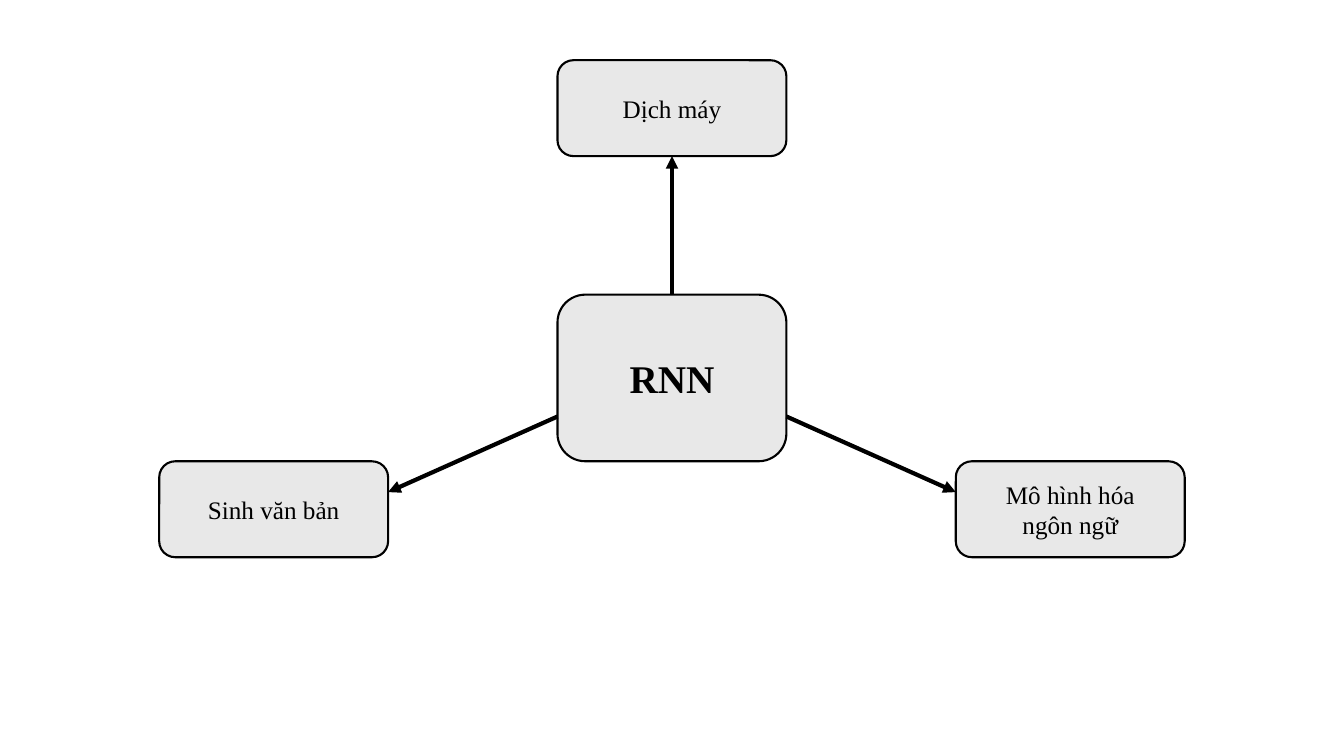
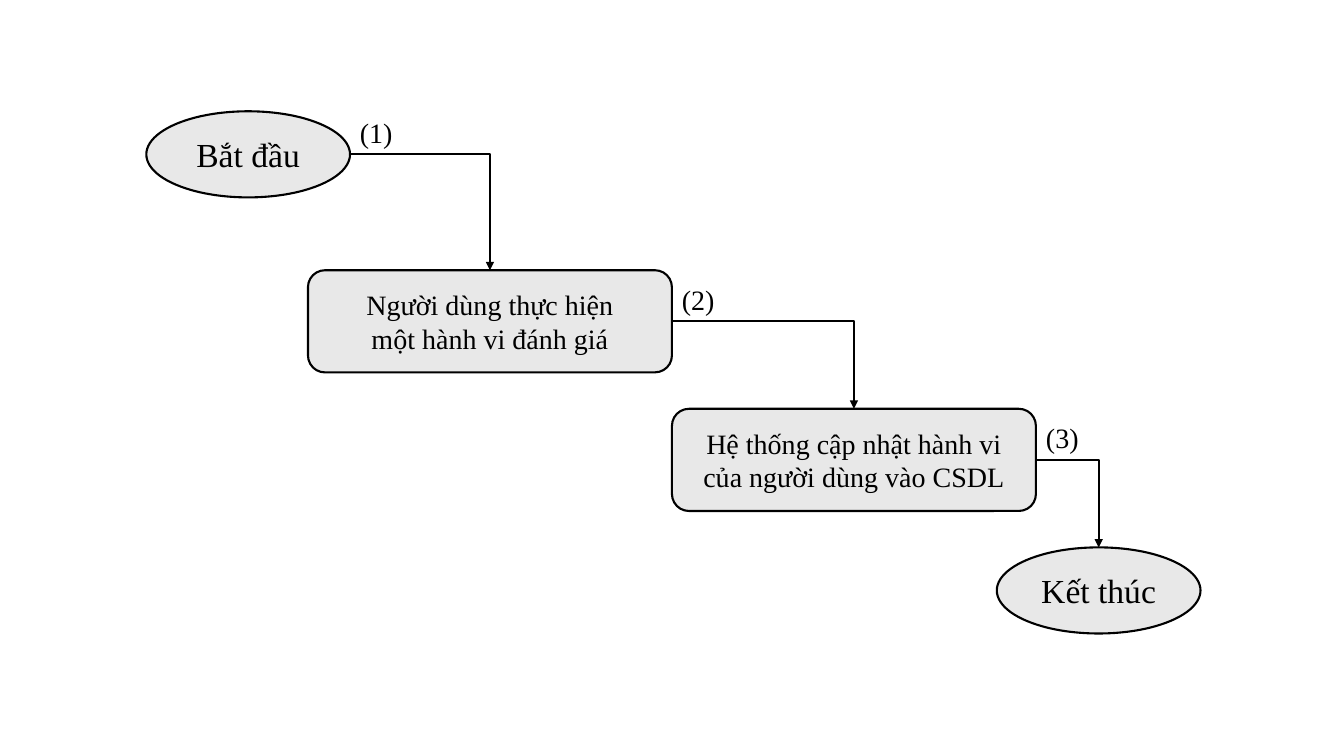
from dataclasses import dataclass

from lxml import etree
from pptx import Presentation
from pptx.dml.color import RGBColor
from pptx.enum.shapes import MSO_CONNECTOR, MSO_SHAPE
from pptx.enum.text import MSO_ANCHOR, MSO_AUTO_SIZE, PP_ALIGN
from pptx.oxml.ns import qn
from pptx.util import Pt

ROUNDED = MSO_SHAPE.ROUNDED_RECTANGLE
OVAL = MSO_SHAPE.OVAL
STRAIGHT = MSO_CONNECTOR.STRAIGHT
ELBOW = MSO_CONNECTOR.ELBOW
MIDDLE = MSO_ANCHOR.MIDDLE
CENTER = PP_ALIGN.CENTER
LEFT = PP_ALIGN.LEFT
FIT_SHAPE = MSO_AUTO_SIZE.SHAPE_TO_FIT_TEXT
TOP_SIDE, BOTTOM_SIDE, RIGHT_SIDE = 0, 2, 3


@dataclass(frozen=True)
class Theme:
    ink: RGBColor = RGBColor(0x00, 0x00, 0x00)
    panel: RGBColor = RGBColor(0xE8, 0xE8, 0xE8)
    font: str = "Times New Roman"
    hub: float = 28
    terminal: float = 24
    step: float = 20
    topic: float = 18
    outline: float = 1.5
    spoke: float = 3


THEME = Theme()
PAGE_WIDTH, PAGE_HEIGHT = 960, 540

HUB = ["RNN"]
TOP_TOPIC = ["Dịch máy"]
SIDE_TOPICS = [(-1, ["Sinh văn bản"]), (1, ["Mô hình hóa", "ngôn ngữ"])]
NODE_WIDTH, HUB_HEIGHT, TOPIC_HEIGHT = 163.5, 119, 68.5
HUB_TOP, TOP_TOPIC_TOP, SIDE_TOPIC_TOP = 210.5, 43, 329.5
SIDE_SHIFT = 284.5
SPOKE_START_Y, SPOKE_END_Y = 297.5, 351.5

TERMINAL = {"kind": OVAL, "width": 145.5, "height": 61.5, "size": THEME.terminal}
STEP = {"kind": ROUNDED, "width": 260, "height": 73, "size": THEME.step}
FLOW = [
    (TERMINAL, 104.5, 79.5, ["Bắt đầu"]),
    (STEP, 220, 193, ["Người dùng thực hiện", "một hành vi đánh giá"]),
    (STEP, 480, 292, ["Hệ thống cập nhật hành vi", "của người dùng vào CSDL"]),
    (TERMINAL, 712, 391, ["Kết thúc"]),
]
LABEL_WIDTH, LABEL_HEIGHT = 38, 31.5


def write(shape, lines, size, align=CENTER, bold=False):
    frame = shape.text_frame
    for index, line in enumerate(lines):
        para = frame.add_paragraph() if index else frame.paragraphs[0]
        para.alignment = align
        span = para.add_run()
        span.text = line
        formats = {"name": THEME.font, "size": Pt(size), "bold": bold}
        for name, value in formats.items():
            setattr(span.font, name, value)
        span.font.color.rgb = THEME.ink


def add_node(page, kind, left, top, width, height, lines, size, bold=False):
    node = page.shapes.add_shape(kind, Pt(left), Pt(top), Pt(width), Pt(height))
    node.shadow.inherit = False
    node.fill.solid()
    node.fill.fore_color.rgb = THEME.panel
    node.line.color.rgb = THEME.ink
    node.line.width = Pt(THEME.outline)
    node.text_frame.vertical_anchor = MIDDLE
    write(node, lines, size, bold=bold)
    return node


def add_arrow(page, kind, start, end, weight):
    arrow = page.shapes.add_connector(kind, *map(Pt, start + end))
    arrow.line.color.rgb = THEME.ink
    arrow.line.width = Pt(weight)
    properties = arrow._element.spPr
    etree.SubElement(properties.find(qn("a:ln")), qn("a:tailEnd"), type="triangle")
    etree.SubElement(properties, qn("a:effectLst"))
    if kind == ELBOW:
        properties.find(qn("a:prstGeom")).set("prst", "bentConnector2")
    return arrow


def add_label(page, text, left, top):
    box = page.shapes.add_textbox(Pt(left), Pt(top), Pt(LABEL_WIDTH), Pt(LABEL_HEIGHT))
    box.text_frame.word_wrap = False
    box.text_frame.auto_size = FIT_SHAPE
    write(box, [text], THEME.step, LEFT)


def build_hub_page(page):
    middle = PAGE_WIDTH / 2
    left = middle - NODE_WIDTH / 2
    hub = add_node(page, ROUNDED, left, HUB_TOP, NODE_WIDTH, HUB_HEIGHT, HUB, THEME.hub, True)
    topic = add_node(page, ROUNDED, left, TOP_TOPIC_TOP, NODE_WIDTH, TOPIC_HEIGHT,
                     TOP_TOPIC, THEME.topic)
    spoke = add_arrow(page, STRAIGHT, (middle, HUB_TOP),
                      (middle, TOP_TOPIC_TOP + TOPIC_HEIGHT), THEME.spoke)
    spoke.begin_connect(hub, TOP_SIDE)
    spoke.end_connect(topic, BOTTOM_SIDE)
    for side, lines in SIDE_TOPICS:
        add_node(page, ROUNDED, left + side * SIDE_SHIFT, SIDE_TOPIC_TOP,
                 NODE_WIDTH, TOPIC_HEIGHT, lines, THEME.topic)
        start = (middle + side * NODE_WIDTH / 2, SPOKE_START_Y)
        end = (middle + side * (SIDE_SHIFT - NODE_WIDTH / 2), SPOKE_END_Y)
        add_arrow(page, STRAIGHT, start, end, THEME.spoke)


def build_flow_page(page):
    nodes = [add_node(page, left=left, top=top, lines=lines, **style)
             for style, left, top, lines in FLOW]
    for index, (source, target) in enumerate(zip(FLOW, FLOW[1:])):
        style, left, top, _ = source
        next_style, next_left, next_top, _ = target
        start = (left + style["width"], top + style["height"] / 2)
        end = (next_left + next_style["width"] / 2, next_top)
        add_label(page, f"({index + 1})", start[0], start[1] - LABEL_HEIGHT)
        arrow = add_arrow(page, ELBOW, start, end, THEME.outline)
        if style is STEP:
            arrow.begin_connect(nodes[index], RIGHT_SIDE)
        arrow.end_connect(nodes[index + 1], TOP_SIDE)


def main():
    deck = Presentation()
    deck.slide_width, deck.slide_height = Pt(PAGE_WIDTH), Pt(PAGE_HEIGHT)
    for build in (build_hub_page, build_flow_page):
        build(deck.slides.add_slide(deck.slide_layouts[6]))
    deck.save("out.pptx")


if __name__ == "__main__":
    main()
